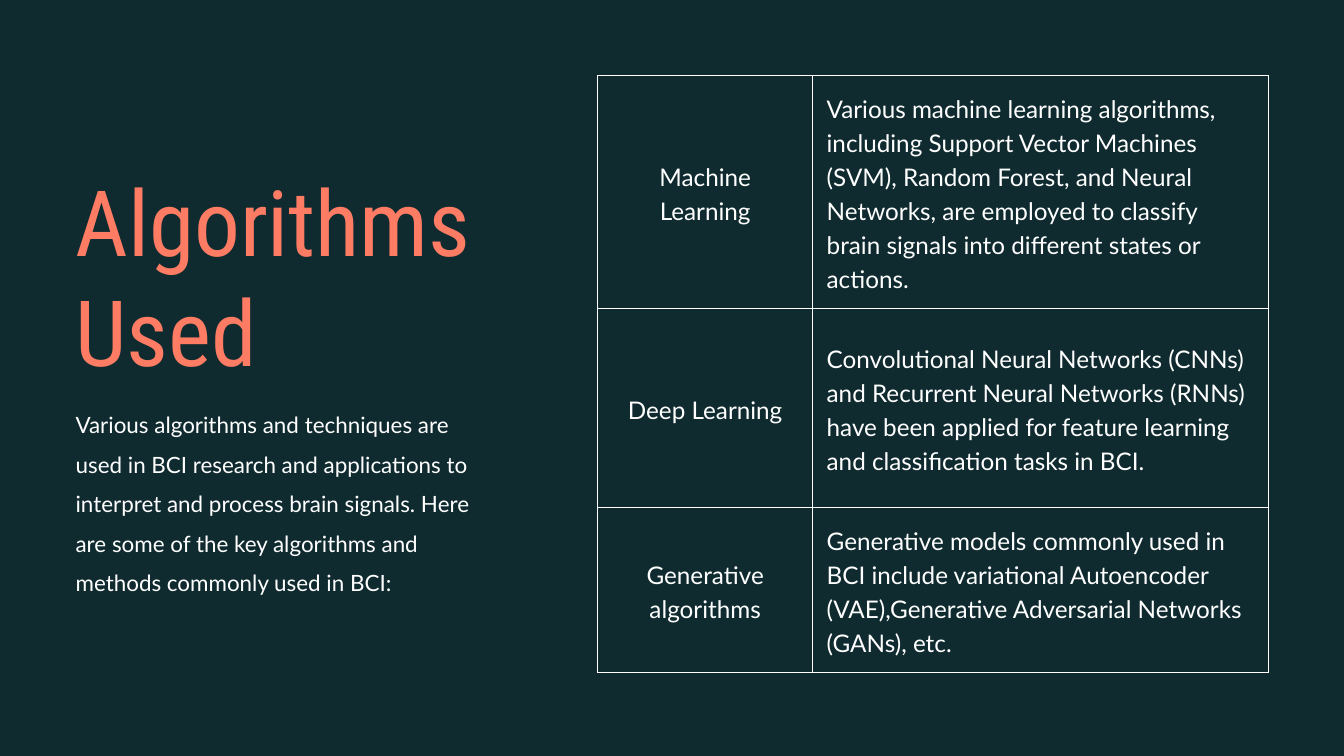
import dataclasses

import pptx
import pptx.dml.color
import pptx.enum.text
import pptx.oxml
import pptx.oxml.ns
import pptx.presentation
import pptx.slide
import pptx.table
import pptx.text.text
import pptx.util

PX = 9525  # EMU in one px, 96 px to the inch
ALIGN = pptx.enum.text.PP_ALIGN


@dataclasses.dataclass(frozen=True)
class Style:
    font: str
    size: int
    lead: float
    color: str


@dataclasses.dataclass(frozen=True)
class Theme:
    back: str = "102B30"
    line: str = "FFFFFF"
    rule: float = 0.75
    title: Style = Style("Roboto Condensed", 98, 117.6, "FF7C64")
    body: Style = Style("Lato", 24, 42.2, "FFFFFF")
    cell: Style = Style("Lato", 26, 36.4, "FFFFFF")


@dataclasses.dataclass(frozen=True)
class Block:
    top: int
    height: int
    text: str
    style: Style


@dataclasses.dataclass(frozen=True)
class Row:
    height: int
    name: str
    about: str


THEME = Theme()
LEFT, WIDTH = 108, 586
GRID_LEFT, GRID_TOP = 854, 108
COLS = (307, 651)
PAD = 20

BLOCKS = (
    Block(236, 313, "Algorithms Used", THEME.title),
    Block(570, 273, "Various algorithms and techniques are used in BCI research and "
          "applications to interpret and process brain signals. Here are some of the "
          "key algorithms and methods commonly used in BCI:", THEME.body),
)

ROWS = (
    Row(332, "Machine Learning",
        "Various machine learning algorithms, including Support Vector Machines (SVM), "
        "Random Forest, and Neural Networks, are employed to classify brain signals "
        "into different states or actions."),
    Row(284, "Deep Learning",
        "Convolutional Neural Networks (CNNs) and Recurrent Neural Networks (RNNs) have "
        "been applied for feature learning and classification tasks in BCI."),
    Row(236, "Generative algorithms",
        "Generative models commonly used in BCI include variational Autoencoder "
        "(VAE),Generative Adversarial Networks (GANs), etc."),
)


def px(n: int) -> pptx.util.Emu:
    return pptx.util.Emu(n * PX)


def rgb(code: str) -> pptx.dml.color.RGBColor:
    return pptx.dml.color.RGBColor.from_string(code)


def write(frame: pptx.text.text.TextFrame, text: str, style: Style,
          align: ALIGN = ALIGN.LEFT) -> None:
    frame.text = text
    para = frame.paragraphs[0]
    para.alignment = align
    para.line_spacing = pptx.util.Pt(style.lead)
    font = para.runs[0].font
    font.name = style.font
    font.size = pptx.util.Pt(style.size)
    font.color.rgb = rgb(style.color)


def add_block(slide: pptx.slide.Slide, block: Block) -> None:
    box = slide.shapes.add_textbox(px(LEFT), px(block.top), px(WIDTH), px(block.height))
    frame = box.text_frame
    frame.word_wrap = True
    frame.margin_left = frame.margin_right = frame.margin_top = frame.margin_bottom = 0
    write(frame, block.text, block.style)


def add_rules(cell: pptx.table._Cell) -> None:
    """Outline all four sides of a cell."""
    props = cell._tc.get_or_add_tcPr()
    width = int(pptx.util.Pt(THEME.rule))
    for side in ("lnL", "lnR", "lnT", "lnB"):
        props.append(pptx.oxml.parse_xml(
            f'<a:{side} {pptx.oxml.ns.nsdecls("a")} w="{width}"><a:solidFill>'
            f'<a:srgbClr val="{THEME.line}"/></a:solidFill></a:{side}>'))


def fill_cell(cell: pptx.table._Cell, text: str, align: ALIGN) -> None:
    add_rules(cell)
    cell.fill.background()
    cell.margin_left = cell.margin_right = cell.margin_top = cell.margin_bottom = px(PAD)
    cell.vertical_anchor = pptx.enum.text.MSO_ANCHOR.MIDDLE
    write(cell.text_frame, text, THEME.cell, align)


def add_grid(slide: pptx.slide.Slide) -> None:
    high = sum(row.height for row in ROWS)
    grid = slide.shapes.add_table(len(ROWS), len(COLS), px(GRID_LEFT), px(GRID_TOP),
                                  px(sum(COLS)), px(high)).table
    grid.first_row = grid.horz_banding = False
    for col, width in zip(grid.columns, COLS):
        col.width = px(width)
    for i, row in enumerate(ROWS):
        grid.rows[i].height = px(row.height)
        fill_cell(grid.cell(i, 0), row.name, ALIGN.CENTER)
        fill_cell(grid.cell(i, 1), row.about, ALIGN.LEFT)


def main() -> None:
    deck: pptx.presentation.Presentation = pptx.Presentation()
    deck.slide_width, deck.slide_height = px(1920), px(1080)
    slide = deck.slides.add_slide(deck.slide_layouts[6])
    slide.background.fill.solid()
    slide.background.fill.fore_color.rgb = rgb(THEME.back)
    for block in BLOCKS:
        add_block(slide, block)
    add_grid(slide)
    deck.save("out.pptx")


if __name__ == "__main__":
    main()
